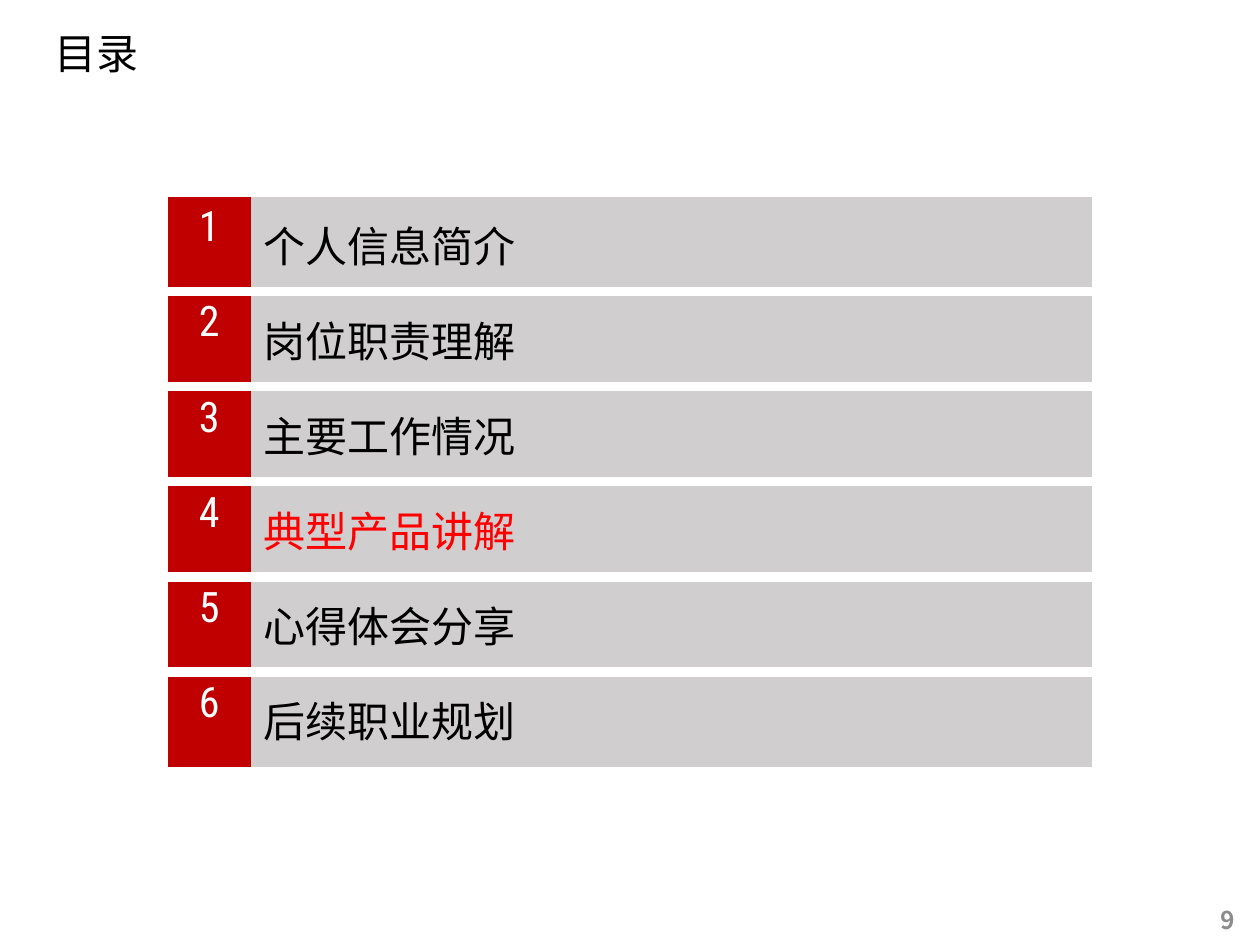
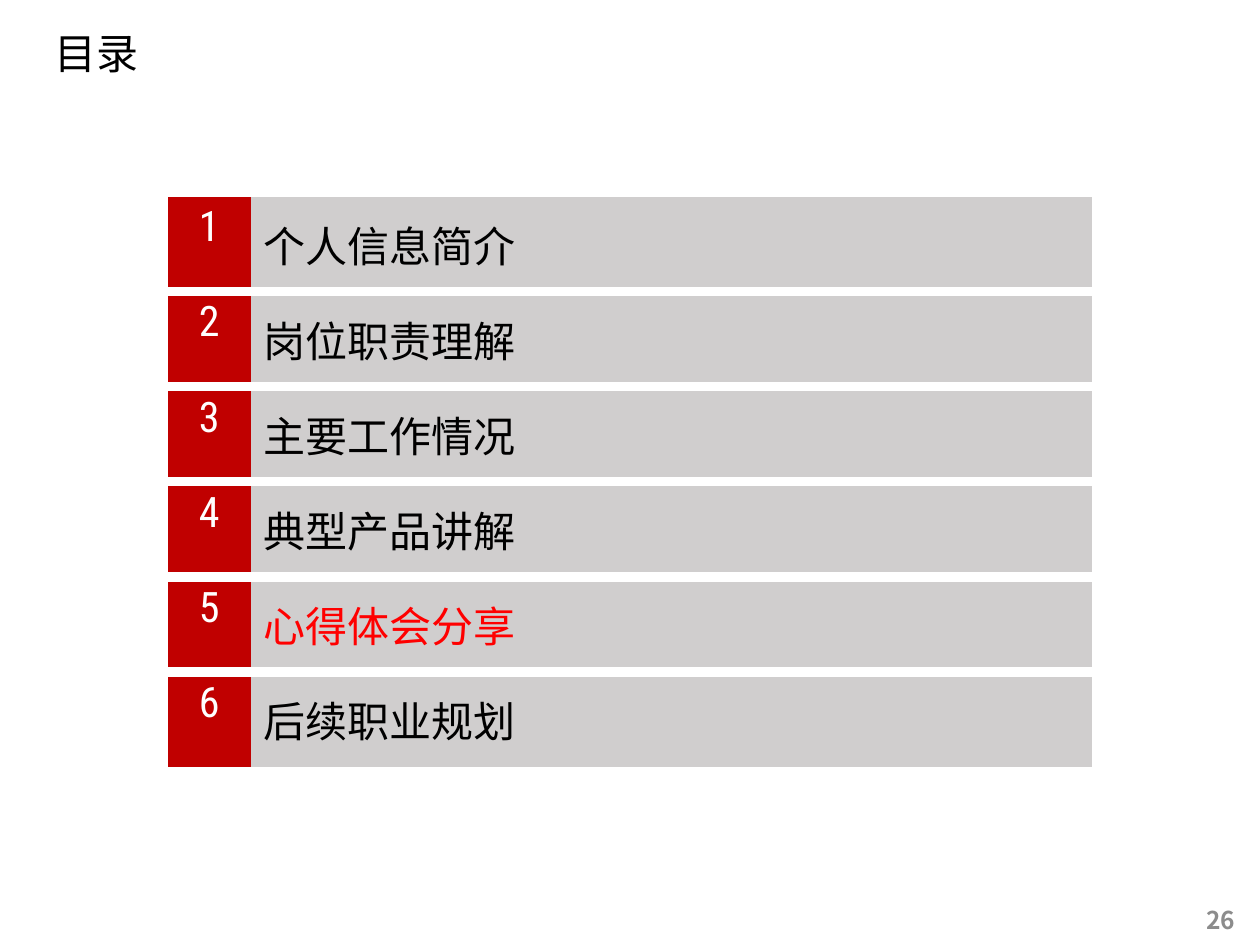
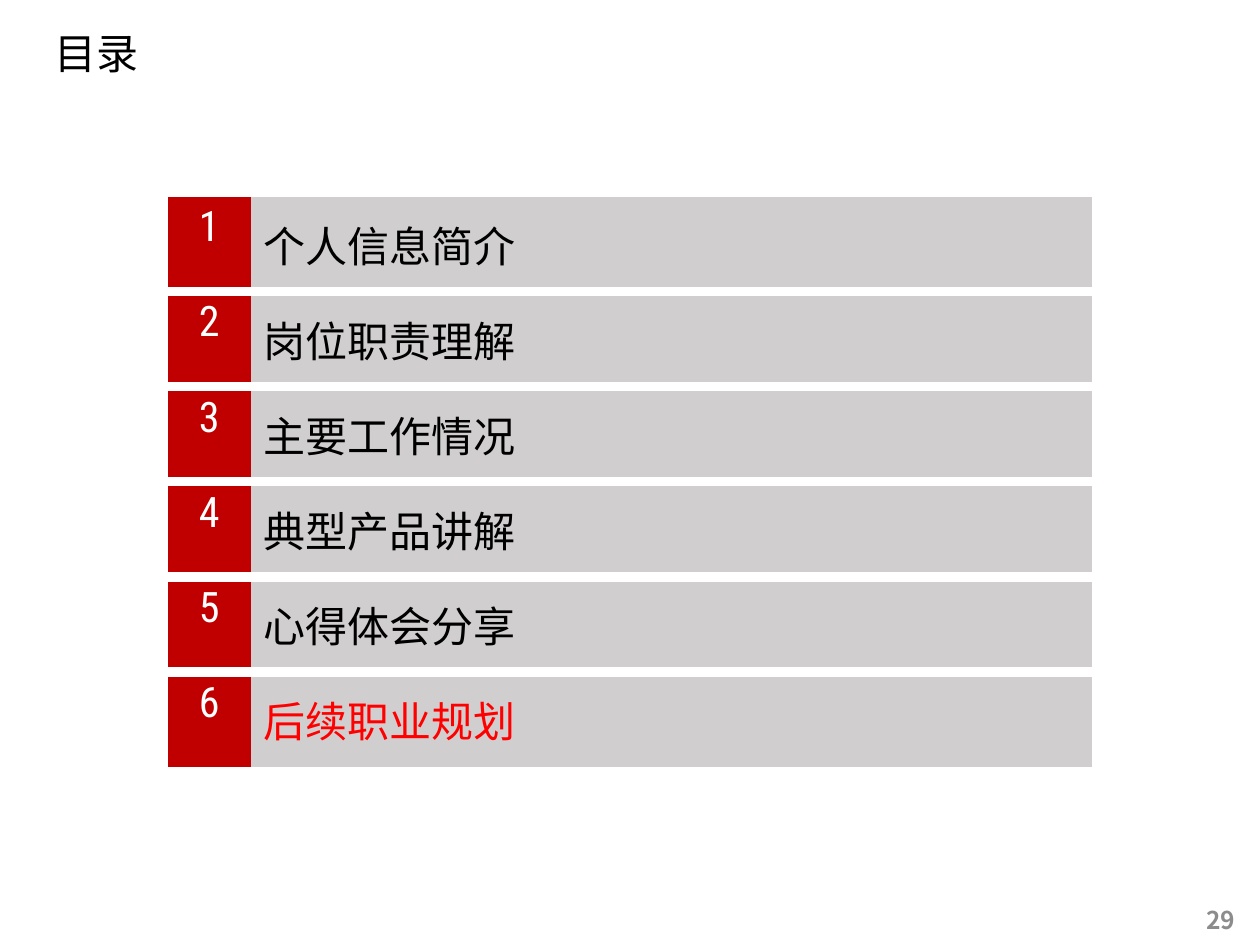
from lxml import etree
from pptx import Presentation
from pptx import util as u
from pptx.dml.color import RGBColor
from pptx.enum import text as t
from pptx.oxml.ns import qn

# Content
TITLE = "目录"
CHAPTERS = ["个人信息简介", "岗位职责理解", "主要工作情况",
            "典型产品讲解", "心得体会分享", "后续职业规划"]
AGENDAS = [(9, 4), (26, 5), (29, 6)]  # page number, current chapter

# Shared style
CJK, LATIN = "Noto Sans CJK SC", "Roboto Condensed"
BLACK, WHITE, GREY = "000000", "FFFFFF", "8C8C8C"
NUMBER_FILL, LABEL_FILL, CURRENT = "C00000", "D0CECE", "FF0000"
GAP = 6  # white rule between rows, in points

# Layout in inches
SLIDE_WIDTH, SLIDE_HEIGHT = 10, 7.5
TITLE_BOX = (0.23, 0.23, 3.78, 0.42)
PAGE_NUMBER_BOX = (9.25, 7.22, 0.65, 0.16)
COLUMNS = (0.66, 6.68)
TABLE_TOP, TABLE_HEIGHT = 1.56, 4.53


def color(value):
    return RGBColor.from_string(value)


def write(frame, content, font=CJK, size=24, ink=BLACK, bold=False,
          align=t.PP_ALIGN.LEFT, spacing=None):
    para = frame.paragraphs[0]
    para.alignment = align
    if spacing:
        para.line_spacing = spacing
    span = para.add_run()
    span.text = content
    span.font.name, span.font.size, span.font.bold = font, u.Pt(size), bold
    span.font.color.rgb = color(ink)
    east_asian = etree.SubElement(span.font._element, qn("a:ea"))
    east_asian.set("typeface", font)


def add_text(page, place, content, side_inset=0.1, **style):
    box = page.shapes.add_textbox(*map(u.Inches, place))
    frame = box.text_frame
    frame.word_wrap = True
    frame.vertical_anchor = t.MSO_ANCHOR.MIDDLE
    frame.margin_left = frame.margin_right = u.Inches(side_inset)
    write(frame, content, **style)


def set_borders(cell, ruled_sides):
    props = cell._tc.get_or_add_tcPr()
    for side in "LRTB":
        line = etree.SubElement(props, qn(f"a:ln{side}"))
        if side in ruled_sides:
            line.set("w", str(u.Pt(GAP)))
            fill = etree.SubElement(line, qn("a:solidFill"))
            etree.SubElement(fill, qn("a:srgbClr")).set("val", WHITE)
        else:
            line.set("w", "0")
            etree.SubElement(line, qn("a:noFill"))


def fill_cell(cell, content, fill, ruled_sides, anchor, **style):
    set_borders(cell, ruled_sides)
    cell.fill.solid()
    cell.fill.fore_color.rgb = color(fill)
    cell.vertical_anchor = anchor
    write(cell.text_frame, content, **style)


def add_chapters(page, current):
    count, width = len(CHAPTERS), sum(COLUMNS)
    place = ((SLIDE_WIDTH - width) / 2, TABLE_TOP, width, TABLE_HEIGHT)
    table = page.shapes.add_table(count, 2, *map(u.Inches, place)).table
    table.first_row = table.horz_banding = False
    for column, column_width in zip(table.columns, COLUMNS):
        column.width = u.Inches(column_width)
    for number, chapter in enumerate(CHAPTERS, 1):
        # Rules run only between rows
        sides = ("T" if number > 1 else "") + ("B" if number < count else "")
        row = table.rows[number - 1]
        fill_cell(row.cells[0], str(number), NUMBER_FILL, sides, t.MSO_ANCHOR.TOP,
                  font=LATIN, ink=WHITE, align=t.PP_ALIGN.CENTER)
        fill_cell(row.cells[1], chapter, LABEL_FILL, sides, t.MSO_ANCHOR.MIDDLE,
                  ink=CURRENT if number == current else BLACK)


def main():
    deck = Presentation()
    deck.slide_width = u.Inches(SLIDE_WIDTH)
    deck.slide_height = u.Inches(SLIDE_HEIGHT)
    for page_number, current in AGENDAS:
        page = deck.slides.add_slide(deck.slide_layouts[6])
        add_text(page, TITLE_BOX, TITLE, side_inset=0.2, spacing=0.9)
        add_text(page, PAGE_NUMBER_BOX, str(page_number), size=14, ink=GREY,
                 bold=True, align=t.PP_ALIGN.RIGHT)
        add_chapters(page, current)
    deck.save("out.pptx")


if __name__ == "__main__":
    main()
